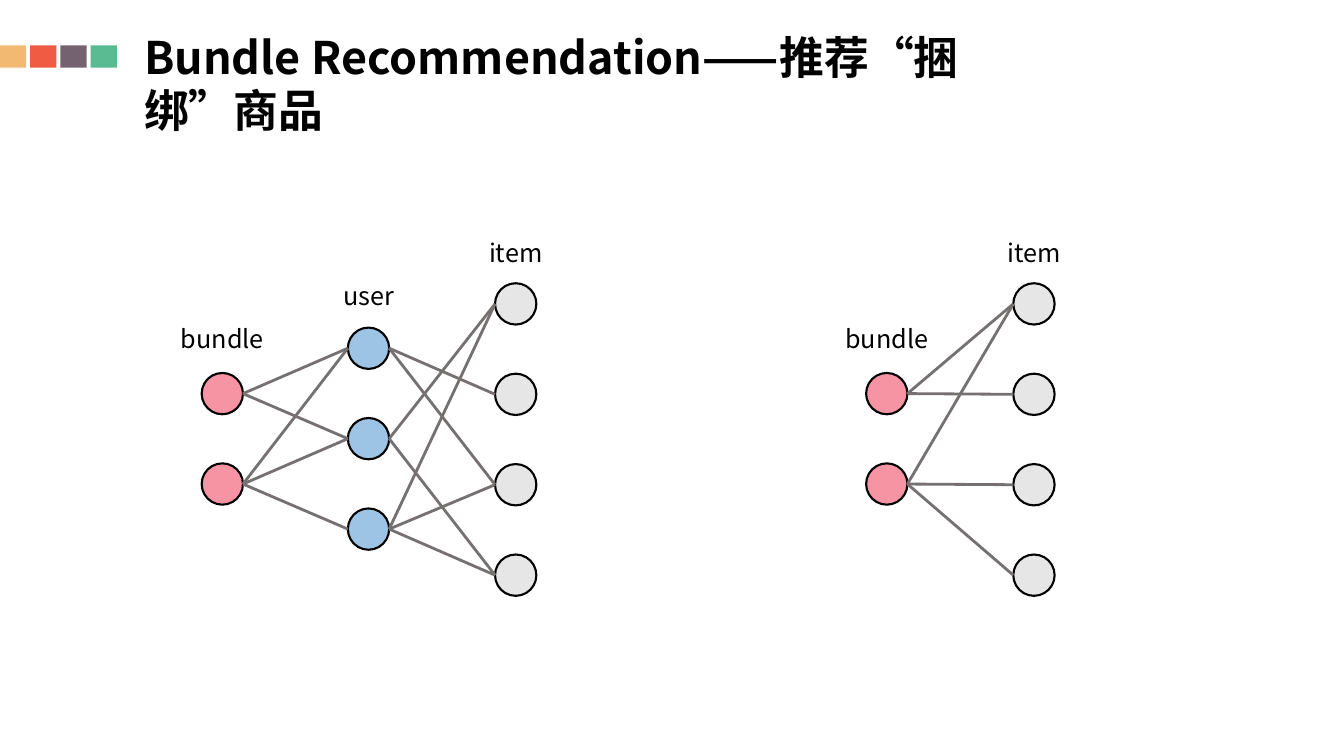
from lxml import etree
from pptx import Presentation
from pptx.dml.color import RGBColor
from pptx.enum.shapes import MSO_CONNECTOR, MSO_SHAPE
from pptx.enum.text import MSO_ANCHOR, MSO_AUTO_SIZE, PP_ALIGN
from pptx.oxml.ns import qn
from pptx.util import Inches, Pt

RECTANGLE, OVAL = MSO_SHAPE.RECTANGLE, MSO_SHAPE.OVAL
STRAIGHT = MSO_CONNECTOR.STRAIGHT
LEFT, CENTER = PP_ALIGN.LEFT, PP_ALIGN.CENTER

FONT = "Noto Sans CJK SC"
TITLE = "Bundle Recommendation——推荐“捆绑”商品"
BLACK, EDGE_COLOR = "000000", "767171"
STRIPE_COLORS = ["F2B973", "EF5B43", "756271", "5ABB93"]
STRIPE_STEP = 0.3

NODE_SIZE, NODE_STEP = 0.41, 0.897
LABEL_HEIGHT = 0.4
# kind: (node colour, node count, first node top, label top, label width)
KINDS = {
    "bundle": ("F794A3", 2, 3.7, 3.16, 1.05),
    "user": ("9EC4E5", 3, 3.25, 2.73, 0.72),
    "item": ("E7E6E6", 4, 2.81, 2.31, 0.74),
}
# Each graph: columns as (kind, left), then edges between neighbouring
# columns as (node in the left column, node in the right column)
GRAPHS = [
    (
        [("bundle", 2), ("user", 3.45), ("item", 4.91)],
        [
            [(0, 0), (0, 1), (1, 0), (1, 1), (1, 2)],
            [(0, 1), (0, 2), (1, 0), (1, 3), (2, 0), (2, 2), (2, 3)],
        ],
    ),
    (
        [("bundle", 8.59), ("item", 10.05)],
        [[(0, 0), (0, 1), (1, 0), (1, 2), (1, 3)]],
    ),
]


def rgb(color):
    return RGBColor.from_string(color)


def write(shape, text, size, alignment, bold=False):
    paragraph = shape.text_frame.paragraphs[0]
    paragraph.alignment = alignment
    run = paragraph.add_run()
    run.text = text
    run.font.name = FONT
    run.font.size = Pt(size)
    run.font.bold = bold
    run.font.color.rgb = rgb(BLACK)
    east_asian = etree.SubElement(run.font._element, qn("a:ea"))
    east_asian.set("typeface", FONT)


def add_filled(slide, preset, left, top, width, height, color):
    shape = slide.shapes.add_shape(
        preset, Inches(left), Inches(top), Inches(width), Inches(height))
    shape.shadow.inherit = False
    shape.fill.solid()
    shape.fill.fore_color.rgb = rgb(color)
    shape.line.fill.background()
    return shape


def node_top(kind, index):
    return KINDS[kind][2] + index * NODE_STEP


def add_column(slide, kind, left):
    """Draw one column of nodes with its label centred above."""
    color, count, _, label_top, label_width = KINDS[kind]
    for index in range(count):
        node = add_filled(slide, OVAL, left, node_top(kind, index),
                          NODE_SIZE, NODE_SIZE, color)
        node.line.color.rgb = rgb(BLACK)
        node.line.width = Pt(1.5)
    label_left = left + (NODE_SIZE - label_width) / 2
    label = slide.shapes.add_textbox(
        Inches(label_left), Inches(label_top),
        Inches(label_width), Inches(LABEL_HEIGHT))
    label.text_frame.word_wrap = False
    label.text_frame.auto_size = MSO_AUTO_SIZE.SHAPE_TO_FIT_TEXT
    write(label, kind, 18, CENTER)


def add_edge(slide, source, target, source_index, target_index):
    """Join the right side of one node to the left side of another."""
    (source_kind, source_left), (target_kind, target_left) = source, target
    radius = NODE_SIZE / 2
    edge = slide.shapes.add_connector(
        STRAIGHT,
        Inches(source_left + NODE_SIZE),
        Inches(node_top(source_kind, source_index) + radius),
        Inches(target_left),
        Inches(node_top(target_kind, target_index) + radius))
    edge.line.color.rgb = rgb(EDGE_COLOR)
    edge.line.width = Pt(2)
    etree.SubElement(edge._element.spPr, qn("a:effectLst"))


def add_title(slide):
    title = slide.shapes.title
    title.left, title.top = Inches(1.33), Inches(0.24)
    title.width, title.height = Inches(8.78), Inches(0.64)
    frame = title.text_frame
    frame.word_wrap = True
    frame.auto_size = MSO_AUTO_SIZE.SHAPE_TO_FIT_TEXT
    frame.vertical_anchor = MSO_ANCHOR.TOP
    write(title, TITLE, 32, LEFT, bold=True)


def main():
    presentation = Presentation()
    presentation.slide_width = Inches(13.33)
    presentation.slide_height = Inches(7.5)
    slide = presentation.slides.add_slide(presentation.slide_layouts[5])

    for index, color in enumerate(STRIPE_COLORS):
        add_filled(slide, RECTANGLE, index * STRIPE_STEP, 0.45, 0.26, 0.22, color)
    add_title(slide)

    for columns, edge_groups in GRAPHS:
        for kind, left in columns:
            add_column(slide, kind, left)
        for source, target, edges in zip(columns, columns[1:], edge_groups):
            for source_index, target_index in edges:
                add_edge(slide, source, target, source_index, target_index)

    presentation.save("out.pptx")


if __name__ == "__main__":
    main()
